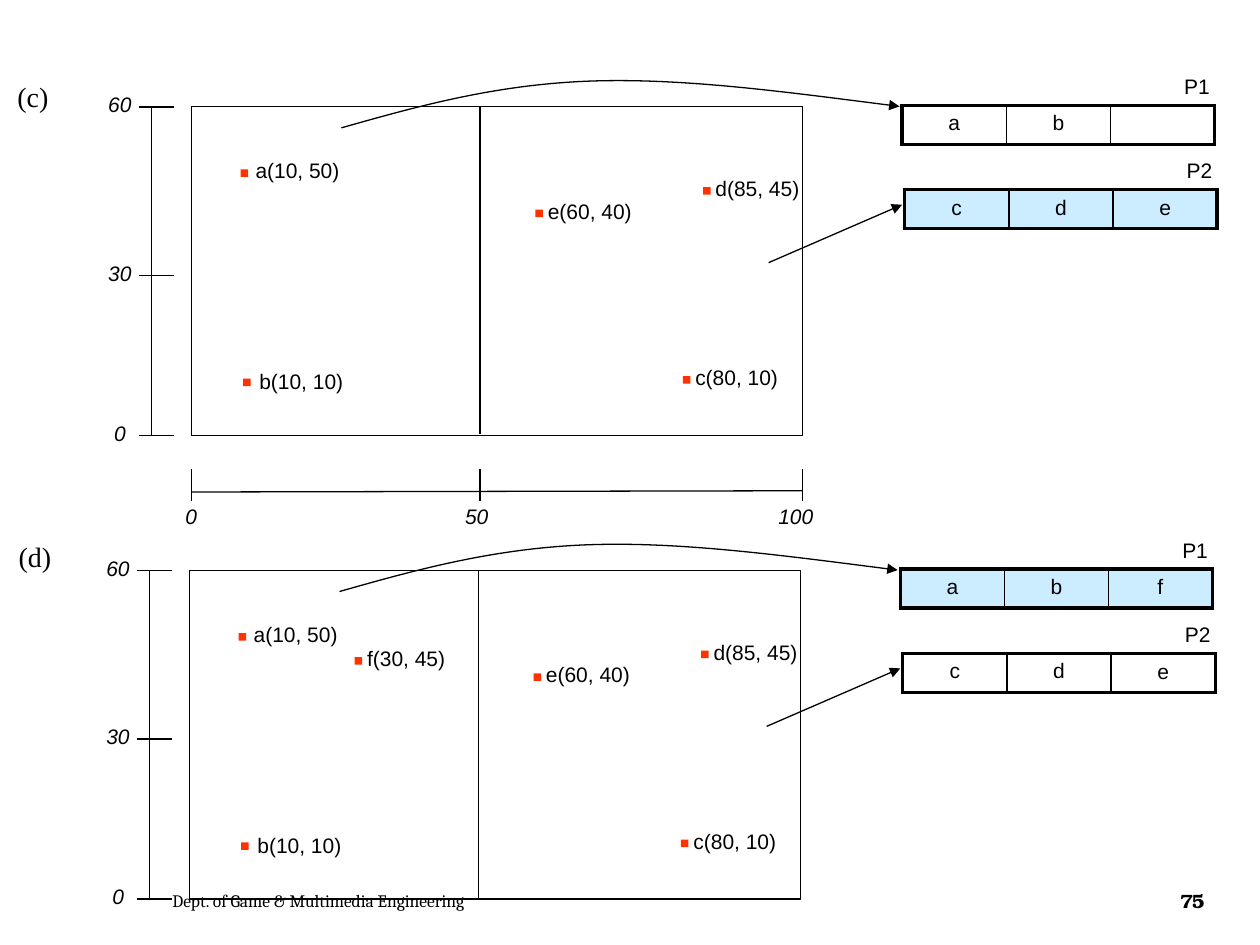
from dataclasses import dataclass

from lxml import etree
from pptx import Presentation
from pptx.dml.color import RGBColor
from pptx.enum.shapes import MSO_CONNECTOR, MSO_SHAPE
from pptx.enum.text import MSO_ANCHOR, MSO_AUTO_SIZE, PP_ALIGN
from pptx.oxml.ns import qn
from pptx.util import Inches, Pt

STRAIGHT = MSO_CONNECTOR.STRAIGHT
RECT = MSO_SHAPE.RECTANGLE
TOP, MIDDLE = MSO_ANCHOR.TOP, MSO_ANCHOR.MIDDLE
LEFT, CENTER = PP_ALIGN.LEFT, PP_ALIGN.CENTER
FIT, NO_FIT = MSO_AUTO_SIZE.SHAPE_TO_FIT_TEXT, MSO_AUTO_SIZE.NONE

BLACK = RGBColor(0x00, 0x00, 0x00)
MARK = RGBColor(0xFF, 0x33, 0x00)
CHANGED = RGBColor(0xCC, 0xEC, 0xFF)

# The slide is a grid of 100 columns by 75 rows; all lengths are in grid steps.
SLIDE_W, SLIDE_H = Inches(10), Inches(7.5)
STEP = SLIDE_W / 100

SPACE_W, SPACE_H, SPLIT = 48.5, 26.1, 22.9
TEXT_H = 3
CELL_W, CELL_H = 8.27, 3.1
PAGE_NAME_W = 4.3
Y_TICKS = {"60": 0.05, "30": 13.4, "0": SPACE_H}
X_TICKS = {"0": 0, "50": SPLIT, "100": SPACE_W}
X_LABEL_SPREAD = 0.99


@dataclass
class Point:
    label: str
    x: float
    y: float
    gap: float = 0
    rise: float = 1.4
    width: float = 8.7


@dataclass
class Page:
    name: str
    entries: str
    x: float
    y: float
    changed: bool = False
    third: str = ""
    third_width: float = 2.9


@dataclass
class Panel:
    """One state of the data space; its points and pages are relative to left, top."""
    name: str
    name_at: tuple[float, float, float]
    left: float
    top: float
    points: list[Point]
    pages: list[Page]
    x_axis: bool = False


POINTS = [
    Point("a(10, 50)", 3.9, 5, gap=0.2, rise=1.45),
    Point("b(10, 10)", 4.1, 21.6, gap=0.3, rise=1.3),
    Point("c(80, 10)", 39, 21.4, width=8.6),
    Point("d(85, 45)", 40.6, 6.4),
    Point("e(60, 40)", 27.3, 8.2),
]
P1_AT, P2_AT = (56.4, -0.1), (56.6, 6.6)
PANELS = [
    Panel("(c)", (0.4, 5.8, 4.5), 15.2, 8.45, POINTS,
          [Page("P1", "ab", *P1_AT),
           Page("P2", "cd", *P2_AT, changed=True, third="e")],
          x_axis=True),
    Panel("(d)", (0.5, 42.3, 4.6), 15.05, 45.25,
          POINTS + [Point("f(30, 45)", 13.1, 6.9, width=8.2)],
          [Page("P1", "ab", *P1_AT, changed=True, third="f", third_width=2.5),
           Page("P2", "cd", *P2_AT, third="e")]),
]


def g(n: float) -> int:
    """Grid steps to slide units."""
    return round(n * STEP)


def add_run(p, text: str, size=12, font="Arial", bold=False, italic=False, spacing=None):
    r = p.add_run()
    r.text = text
    r.font.size, r.font.name = Pt(size), font
    r.font.bold, r.font.italic = bold, italic
    r.font.color.rgb = BLACK
    if spacing is not None:
        r.font._element.set("spc", str(round(spacing * 100)))


def add_text(s, text: str, x, y, w, h=TEXT_H, wrap=False, anchor=TOP, align=LEFT, **fmt):
    tf = s.shapes.add_textbox(g(x), g(y), g(w), g(h)).text_frame
    tf.word_wrap = wrap
    tf.auto_size = NO_FIT if wrap else FIT
    tf.vertical_anchor = anchor
    p = tf.paragraphs[0]
    p.alignment = align
    add_run(p, text, **fmt)


def style_line(sp, arrow=False) -> None:
    sp.line.color.rgb = BLACK
    sp.line.width = Pt(0.75)
    if arrow:
        etree.SubElement(sp.line._get_or_add_ln(), qn("a:tailEnd"), type="triangle")


def add_line(s, x1, y1, x2, y2, arrow=False) -> None:
    sp = s.shapes.add_connector(STRAIGHT, g(x1), g(y1), g(x2), g(y2))
    style_line(sp, arrow)
    etree.SubElement(sp._element.spPr, qn("a:effectLst"))


def add_rect(s, x, y, w, h, fill=None) -> None:
    sp = s.shapes.add_shape(RECT, g(x), g(y), g(w), g(h))
    sp.shadow.inherit = False
    if fill is None:
        sp.fill.background()
        style_line(sp)
    else:
        sp.fill.solid()
        sp.fill.fore_color.rgb = fill
        sp.line.fill.background()


def add_curved_arrow(s, start, controls) -> None:
    """Draw cubic segments: each three points of controls end one segment."""
    builder = s.shapes.build_freeform(g(start[0]), g(start[1]))
    builder.add_line_segments([(g(x), g(y)) for x, y in controls], close=False)
    sp = builder.convert_to_shape()
    sp.shadow.inherit = False
    sp.fill.background()
    style_line(sp, arrow=True)
    steps = list(sp._element.iter(qn("a:lnTo")))
    for i in range(0, len(steps), 3):
        curve = etree.SubElement(steps[i].getparent(), qn("a:cubicBezTo"))
        for step in steps[i:i + 3]:
            curve.append(step[0])
            step.getparent().remove(step)


def set_border(cell, **widths) -> None:
    tc_pr = cell._tc.get_or_add_tcPr()
    for side, width in widths.items():
        ln = etree.SubElement(tc_pr, qn(f"a:ln{side}"), w=str(Pt(width)))
        fill = etree.SubElement(ln, qn("a:solidFill"))
        etree.SubElement(fill, qn("a:srgbClr"), val=str(BLACK))


def add_page(s, page: Page, left: float, top: float) -> None:
    x, y = left + page.x, top + page.y
    add_text(s, page.name, x + 21.4, y - 3, PAGE_NAME_W)
    table = s.shapes.add_table(1, 3, g(x), g(y), g(3 * CELL_W), g(CELL_H)).table
    table.first_row = table.horz_banding = False
    table.rows[0].height = g(CELL_H)
    for i, cell in enumerate(table.rows[0].cells):
        table.columns[i].width = g(CELL_W)
        cell.margin_top, cell.margin_bottom = g(0.5), g(0.2)
        p = cell.text_frame.paragraphs[0]
        p.alignment = CENTER
        if i < len(page.entries):
            add_run(p, page.entries[i])
        else:
            p._p.get_or_add_endParaRPr().set("sz", "1200")
        set_border(cell, L=1 if i else 2.25, R=2.25 if i == 2 else 1, T=2.25, B=2.25)
        if page.changed:
            cell.fill.solid()
            cell.fill.fore_color.rgb = CHANGED
        else:
            cell.fill.background()
    if page.third:
        w = page.third_width
        add_text(s, page.third, x + 2.5 * CELL_W - w / 2, y - 0.1, w)


def add_tick_label(s, text: str, center: float, y: float) -> None:
    w = 2 + 0.95 * len(text)
    add_text(s, text, center - w / 2, y, w, italic=True)


def add_panel(s, panel: Panel) -> None:
    x, y = panel.left, panel.top
    add_rect(s, x, y, SPACE_W, SPACE_H)
    add_line(s, x + SPLIT, y, x + SPLIT, y + SPACE_H - 0.1)
    add_line(s, x - 3.2, y, x - 3.2, y + SPACE_H)
    for text, dy in Y_TICKS.items():
        add_line(s, x - 4.2, y + dy, x - 1.4, y + dy)
        add_tick_label(s, text, x - 5.65, y + dy - 1.7)
    if panel.x_axis:
        add_line(s, x, y + 30.6, x + SPACE_W, y + 30.5)
        for text, dx in X_TICKS.items():
            add_line(s, x + dx, y + 28.8, x + dx, y + 31.3)
            add_tick_label(s, text, x + dx * X_LABEL_SPREAD, y + 31)
    for pt in panel.points:
        add_rect(s, x + pt.x, y + pt.y, 0.6, 0.6, fill=MARK)
        add_text(s, pt.label, x + pt.x + pt.gap, y + pt.y - pt.rise, pt.width)
    for page in panel.pages:
        add_page(s, page, x, y)
    bends = [(17.9, 0), (24, -1.7), (31.4, -2), (38.8, -2.3), (47.5, -1.1), (56.2, 0)]
    add_curved_arrow(s, (x + 11.9, y + 1.7), [(x + dx, y + dy) for dx, dy in bends])
    add_line(s, x + 45.8, y + 12.4, x + 56.4, y + 7.8, arrow=True)
    add_text(s, panel.name, *panel.name_at, h=3.7, size=16, font="Times New Roman")


def main() -> None:
    prs = Presentation()
    prs.slide_width, prs.slide_height = SLIDE_W, SLIDE_H
    s = prs.slides.add_slide(prs.slide_layouts[6])
    for panel in PANELS:
        add_panel(s, panel)
    add_text(s, "Dept. of Game & Multimedia Engineering", 12.7, 69.5, 45.9, 4,
             wrap=True, anchor=MIDDLE, size=10, font="Cambria")
    add_text(s, "75", 92, 69.5, 5.3, 4, wrap=True, anchor=MIDDLE, align=CENTER,
             size=11, font="TeX Gyre Bonum", bold=True, spacing=-0.7)
    prs.save("out.pptx")


if __name__ == "__main__":
    main()
